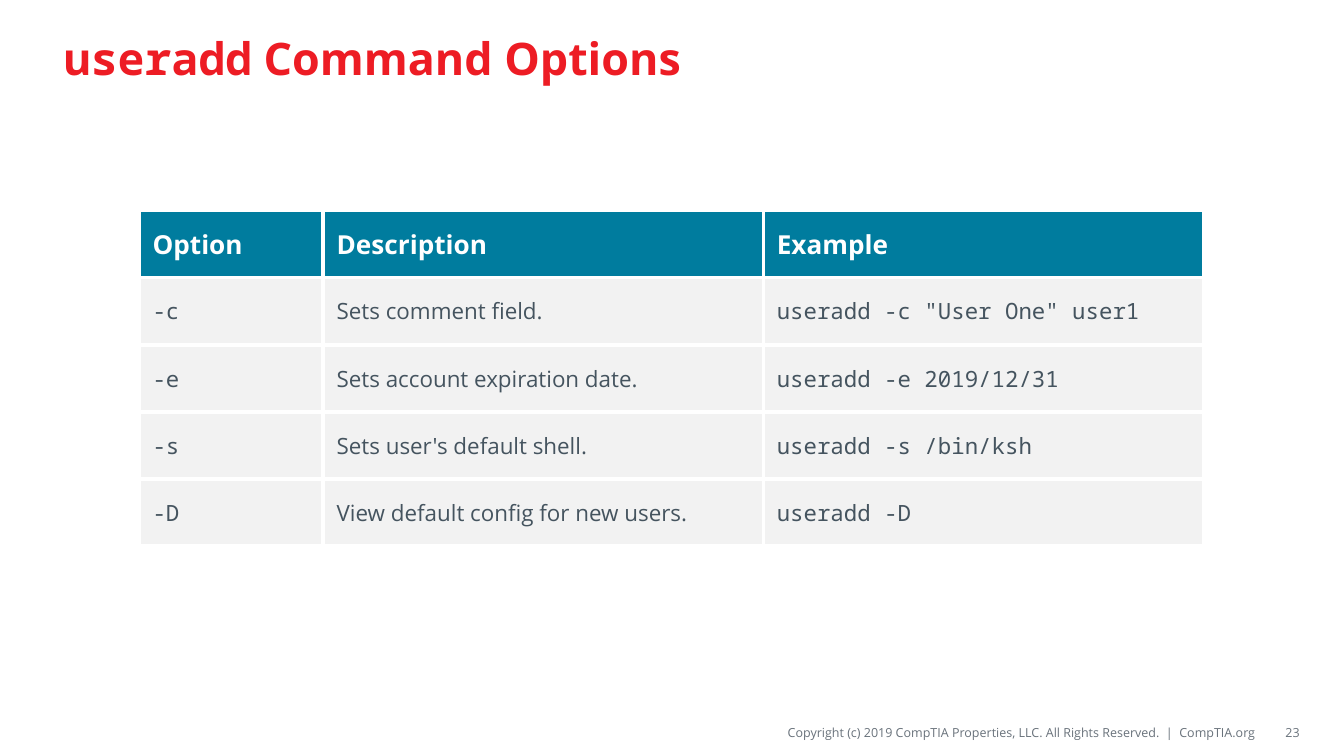
from lxml.etree import SubElement
from pptx import Presentation
from pptx.dml.color import RGBColor
from pptx.enum.text import MSO_ANCHOR, MSO_AUTO_SIZE, PP_ALIGN
from pptx.oxml.ns import qn
from pptx.util import Emu, Pt

PX = 4572
SANS, MONO = "Open Sans", "Noto Sans Mono"
COLORS = {
    "title": "ED1C24",
    "header": "007C9E",
    "row": "F2F2F2",
    "white": "FFFFFF",
    "text": "45545F",
    "footer": "69727B",
}
HEADERS = ["Option", "Description", "Example"]
OPTIONS = [
    ["-c", "Sets comment field.", 'useradd -c "User One" user1'],
    ["-e", "Sets account expiration date.", "useradd -e 2019/12/31"],
    ["-s", "Sets user's default shell.", "useradd -s /bin/ksh"],
    ["-D", "View default config for new users.", "useradd -D"],
]


def px(n):
    """Turn px into EMU."""
    return Emu(n * PX)


def add_run(p, text, font=SANS, size=12, color="text", bold=False):
    """Append a formatted run to a paragraph."""
    r = p.add_run()
    r.text = text
    r.font.name = font
    r.font.size = Pt(size)
    r.font.bold = bold
    r.font.color.rgb = RGBColor.from_string(COLORS[color])


def add_title(slide, x, y, w, h):
    """Place the title with its command name in monospace."""
    sp = slide.shapes.title
    sp.left, sp.top, sp.width, sp.height = map(px, (x, y, w, h))
    tf = sp.text_frame
    tf.auto_size = MSO_AUTO_SIZE.NONE
    tf.vertical_anchor = MSO_ANCHOR.MIDDLE
    p = tf.paragraphs[0]
    p.alignment = PP_ALIGN.LEFT
    add_run(p, "useradd", font=MONO, size=24, color="title", bold=True)
    add_run(p, " Command Options", size=24, color="title", bold=True)


def style_cell(cell, fill):
    """Give a cell white borders, a fill and a middle anchor."""
    tcPr = cell._tc.get_or_add_tcPr()
    for side in ("lnL", "lnR", "lnT", "lnB"):
        ln = SubElement(tcPr, qn(f"a:{side}"), w=str(Pt(2.25)))
        SubElement(SubElement(ln, qn("a:solidFill")), qn("a:srgbClr"), val=COLORS["white"])
    cell.fill.solid()
    cell.fill.fore_color.rgb = RGBColor.from_string(COLORS[fill])
    cell.vertical_anchor = MSO_ANCHOR.MIDDLE


def add_options_table(slide, x, y, w, h, first_col):
    """Place the options table, sharing the width left by the first column."""
    rows = [HEADERS] + OPTIONS
    table = slide.shapes.add_table(len(rows), len(HEADERS), px(x), px(y), px(w), px(h)).table
    other_col = (w - first_col) // (len(HEADERS) - 1)
    for j, col in enumerate(table.columns):
        col.width = px(other_col if j else first_col)
    for i, texts in enumerate(rows):
        table.rows[i].height = px(h // len(rows))
        for j, text in enumerate(texts):
            cell = table.cell(i, j)
            style_cell(cell, "row" if i else "header")
            p = cell.text_frame.paragraphs[0]
            if i == 0:
                add_run(p, text, size=14, color="white", bold=True)
            else:
                add_run(p, text, font=SANS if j == 1 else MONO)


def add_footer(slide, x, y, w, h, number_w):
    """Place the copyright line and the slide number at the right end."""
    gap = 6
    line_w = w - number_w - gap
    parts = [
        (x, line_w, "Copyright (c) 2019 CompTIA Properties, LLC. All Rights Reserved.  |  CompTIA.org"),
        (x + line_w + gap, number_w, "23"),
    ]
    for left, width, text in parts:
        tf = slide.shapes.add_textbox(px(left), px(y), px(width), px(h)).text_frame
        tf.word_wrap = True
        tf.vertical_anchor = MSO_ANCHOR.MIDDLE
        tf.margin_left = tf.margin_right = 0
        tf.margin_top = tf.margin_bottom = px(8)
        p = tf.paragraphs[0]
        p.alignment = PP_ALIGN.RIGHT
        add_run(p, text, size=6.75, color="footer")


def main():
    """Build and save the slide."""
    prs = Presentation()
    prs.slide_width, prs.slide_height = px(2000), px(1125)
    slide = prs.slides.add_slide(prs.slide_layouts[5])
    add_title(slide, 75, 17, 1850, 138)
    add_options_table(slide, 207, 313, 1584, 500, first_col=274)
    add_footer(slide, 776, 1068, 1158, 44, number_w=58)
    prs.save("out.pptx")


if __name__ == "__main__":
    main()
